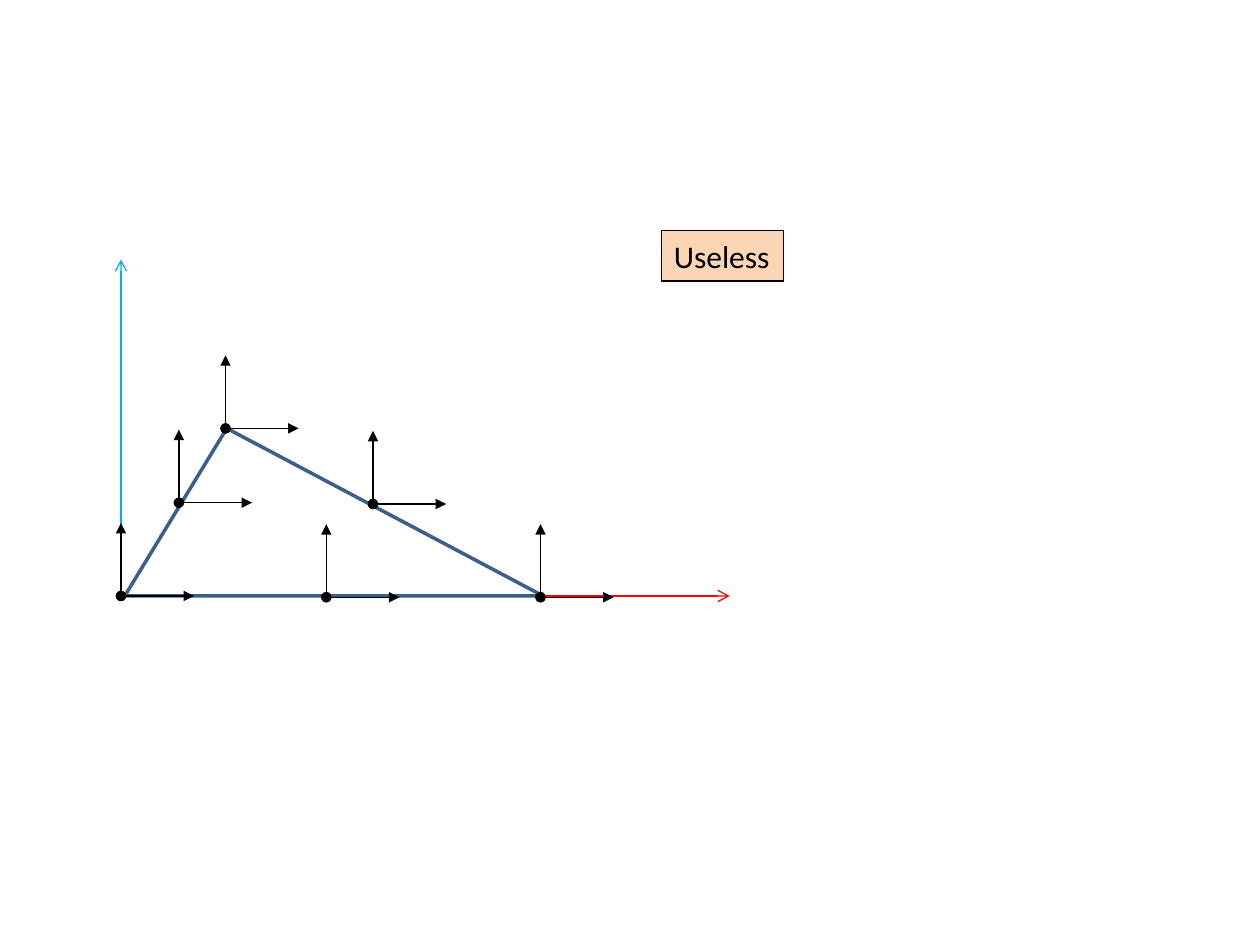
from lxml import etree
from pptx import Presentation
from pptx import util as u
from pptx.dml.color import RGBColor
from pptx.enum import shapes, text
from pptx.oxml.ns import qn

BLACK = RGBColor(0x00, 0x00, 0x00)
CYAN = RGBColor(0x00, 0xB0, 0xF0)
RED = RGBColor(0xFF, 0x00, 0x00)
BLUE = RGBColor(0x3A, 0x5F, 0x8C)
PEACH = RGBColor(0xFC, 0xD5, 0xB5)

ORIGIN = (0.96, 4.73)
TRIANGLE = [(0.99, 4.73), (4.31, 4.73), (1.8, 3.4)]
NODES = [(1.79, 3.4), (2.96, 4), (4.29, 4.74), (1.42, 3.99), ORIGIN, (2.59, 4.74)]
ARROW_LENGTH = 0.58


def write(tf, content, font="Calibri", size=18, color=BLACK, align=text.PP_ALIGN.LEFT):
    p = tf.paragraphs[0]
    p.alignment = align
    r = p.add_run()
    r.text = content
    r.font.name = font
    r.font.size = u.Pt(size)
    r.font.color.rgb = color


class Diagram:
    thin = 0.75
    thick = 2

    def __init__(self, slide):
        self.slide = slide

    def outline(self, sp, color, width):
        sp.line.color.rgb = color
        sp.line.width = u.Pt(width)

    def arrow(self, start, end, color=BLACK, head=None, tail="triangle"):
        points = [u.Inches(v) for v in (*start, *end)]
        sp = self.slide.shapes.add_connector(shapes.MSO_CONNECTOR.STRAIGHT, *points)
        self.outline(sp, color, self.thin)
        etree.SubElement(sp._element.spPr, qn("a:effectLst"))
        ln = sp.line._get_or_add_ln()
        for tag, kind in (("a:headEnd", head), ("a:tailEnd", tail)):
            if kind:
                etree.SubElement(ln, qn(tag), type=kind)

    def node(self, x, y):
        for end in ((x + ARROW_LENGTH, y), (x, y - ARROW_LENGTH)):
            self.arrow((x, y), end, head="oval")

    def polygon(self, points, color):
        first, *rest = [(u.Inches(x), u.Inches(y)) for x, y in points]
        builder = self.slide.shapes.build_freeform(*first)
        builder.add_line_segments(rest, close=True)
        sp = builder.convert_to_shape()
        sp.shadow.inherit = False
        sp.fill.background()
        self.outline(sp, color, self.thick)

    def label(self, content, left, top, width, height):
        box = [u.Inches(v) for v in (left, top, width, height)]
        sp = self.slide.shapes.add_textbox(*box)
        sp.fill.solid()
        sp.fill.fore_color.rgb = PEACH
        self.outline(sp, BLACK, self.thin)
        tf = sp.text_frame
        tf.word_wrap = False
        tf.auto_size = text.MSO_AUTO_SIZE.SHAPE_TO_FIT_TEXT
        write(tf, content)


def main():
    prs = Presentation()
    prs.slide_width, prs.slide_height = u.Inches(10), u.Inches(7.5)
    s = prs.slides.add_slide(prs.slide_layouts[6])
    diagram = Diagram(s)
    diagram.arrow(ORIGIN, (0.96, 2.06), CYAN, tail="arrow")
    diagram.arrow(ORIGIN, (5.79, 4.73), RED, tail="arrow")
    diagram.polygon(TRIANGLE, BLUE)
    for x, y in NODES:
        diagram.node(x, y)
    diagram.label("Useless", 5.25, 1.83, 0.97, 0.4)
    prs.save("out.pptx")


if __name__ == "__main__":
    main()
